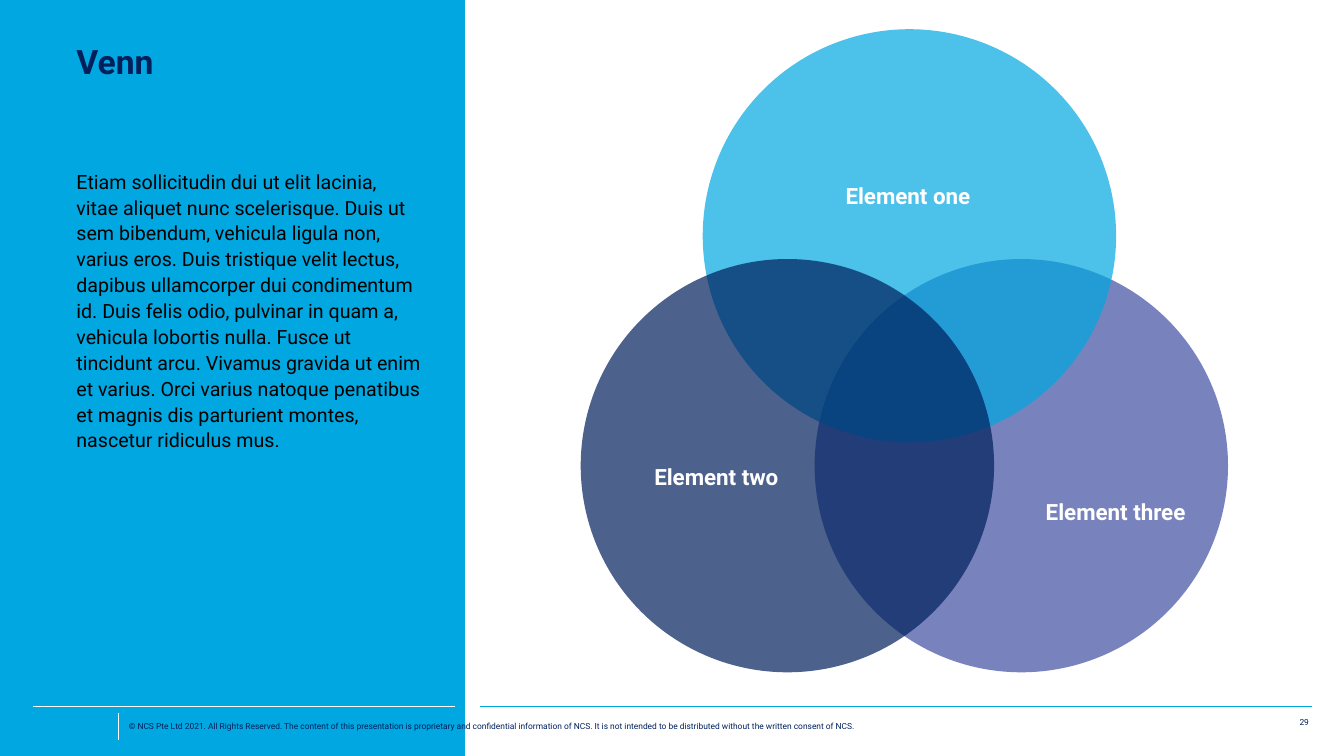
from pptx import Presentation
from pptx.dml.color import RGBColor
from pptx.enum.shapes import MSO_CONNECTOR as Connector, MSO_SHAPE as Shape
from pptx.enum.text import MSO_ANCHOR as Anchor, PP_ALIGN as Align
from pptx.oxml.ns import qn
from pptx.util import Pt
from lxml.etree import SubElement

PX = 9144
COLORS = {"sky": "00A7E1", "navy": "00205C", "violet": "404FA2", "white": "FFFFFF", "black": "000000"}
BODY = (
    "Etiam sollicitudin dui ut elit lacinia, vitae aliquet nunc scelerisque. "
    "Duis ut sem bibendum, vehicula ligula non, varius eros. Duis tristique velit lectus, "
    "dapibus ullamcorper dui condimentum id. Duis felis odio, pulvinar in quam a, "
    "vehicula lobortis nulla. Fusce ut tincidunt arcu. Vivamus gravida ut enim et varius. "
    "Orci varius natoque penatibus et magnis dis parturient montes, nascetur ridiculus mus."
)
COPYRIGHT = (
    "© NCS Pte Ltd 2021. All Rights Reserved. The content of this presentation is proprietary "
    "and confidential information of NCS. It is not intended to be distributed without the "
    "written consent of NCS."
)
DIAMETER = 410
CIRCLES = [(808, 257, "violet"), (697, 29, "sky"), (576, 257, "navy")]
LABELS = [("Element one", 766, 159), ("Element two", 576, 438), ("Element three", 972, 473)]
RULES = [((33, 701), (451, 701), "white"), ((118, 707), (118, 734), "white"), ((476, 701), (1301, 701), "sky")]


def px(*lengths):
    return [length * PX for length in lengths]


def color(name):
    return RGBColor.from_string(COLORS[name])


class Canvas:
    font = "Roboto"

    def __init__(self, page):
        self.page = page

    def shape(self, kind, bounds, fill, opacity=100):
        shape = self.page.shapes.add_shape(kind, *px(*bounds))
        shape.shadow.inherit = False
        shape.fill.solid()
        shape.fill.fore_color.rgb = color(fill)
        shape.line.fill.background()
        if opacity < 100:
            tint = shape.fill._xPr.find(qn("a:solidFill"))[0]
            SubElement(tint, qn("a:alpha")).set("val", str(opacity * 1000))

    def line(self, start, end, stroke):
        line = self.page.shapes.add_connector(Connector.STRAIGHT, *px(*start, *end))
        line.line.color.rgb = color(stroke)
        line.line.width = Pt(0.75)
        SubElement(line._element.spPr, qn("a:effectLst"))

    def text(self, text, bounds, size, fill="navy", bold=False, align=Align.LEFT,
             anchor=Anchor.TOP, spacing=1.0):
        box = self.page.shapes.add_textbox(*px(*bounds))
        frame = box.text_frame
        frame.word_wrap = True
        frame.vertical_anchor = anchor
        para = frame.paragraphs[0]
        para.alignment = align
        para.line_spacing = spacing
        span = para.add_run()
        span.text = text
        span.font.name = self.font
        span.font.size = Pt(size)
        span.font.bold = bold
        span.font.color.rgb = color(fill)


def main():
    deck = Presentation()
    deck.slide_width, deck.slide_height = px(1333, 750)
    canvas = Canvas(deck.slides.add_slide(deck.slide_layouts[6]))

    canvas.shape(Shape.RECTANGLE, (0, 0, 461, 750), "sky")
    for start, end, stroke in RULES:
        canvas.line(start, end, stroke)
    canvas.text("29", (1109, 707, 199, 20), 6, align=Align.RIGHT)
    canvas.text(COPYRIGHT, (118, 699, 903, 43), 6, anchor=Anchor.MIDDLE)

    canvas.text("Venn", (66, 40, 349, 84), 24, bold=True, spacing=0.9)
    canvas.text(BODY, (66, 161, 363, 326), 14, fill="black", spacing=1.1)

    for left, top, fill in CIRCLES:
        canvas.shape(Shape.OVAL, (left, top, DIAMETER, DIAMETER), fill, opacity=70)
    for label, left, top in LABELS:
        canvas.text(label, (left, top, 269, 70), 16, fill="white", bold=True,
                    align=Align.CENTER, anchor=Anchor.MIDDLE)

    deck.save("out.pptx")


if __name__ == "__main__":
    main()
